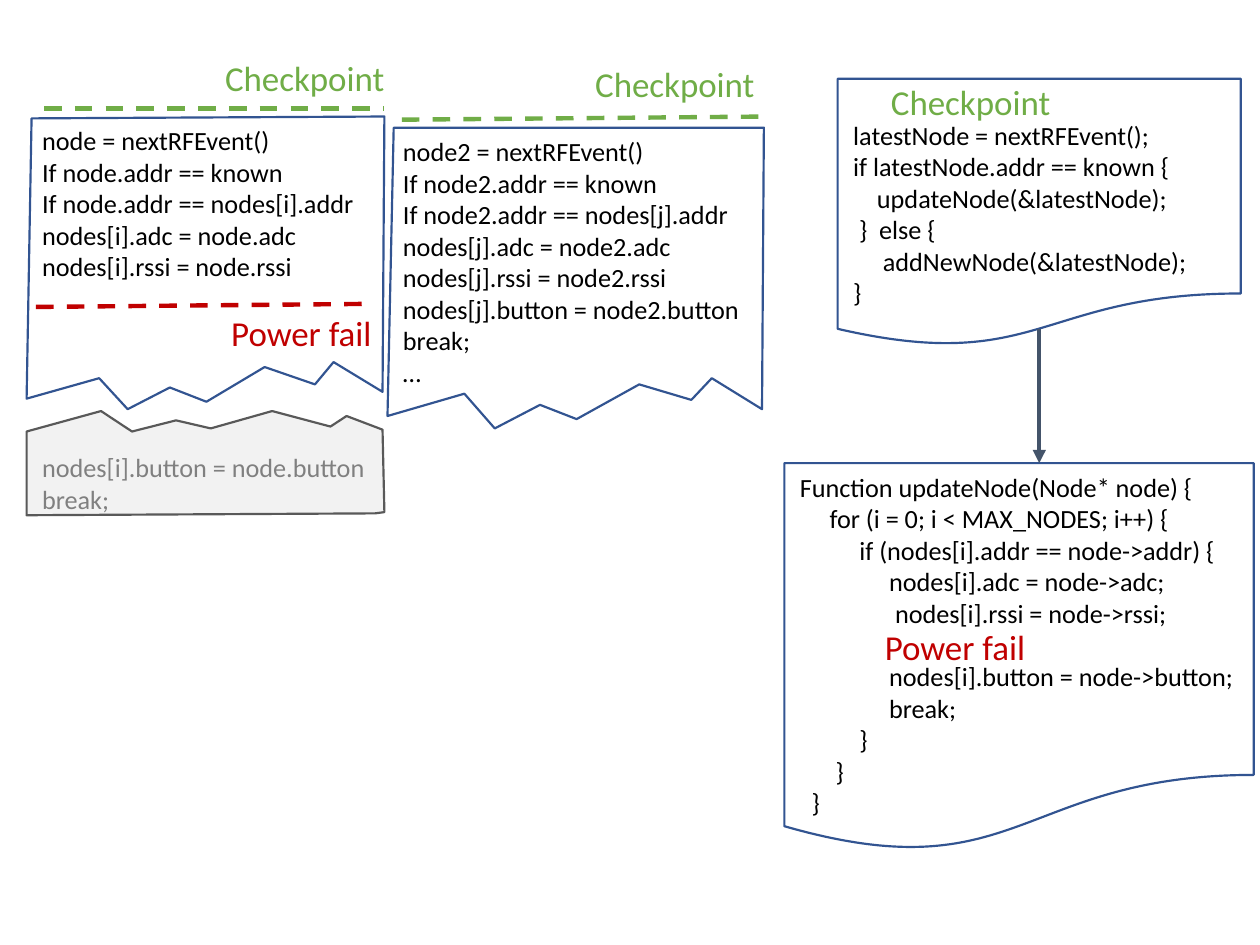
"""Draw checkpointed code fragments with their power failures on one slide."""
from dataclasses import dataclass

import pptx
import pptx.dml.color
import pptx.enum.dml
import pptx.enum.shapes
import pptx.enum.text
import pptx.oxml
import pptx.oxml.ns
import pptx.util
from pptx.util import Cm

COLORS = {
    "white": "FFFFFF", "black": "000000", "blue": "325491", "pale": "F2F2F2",
    "edge": "595959", "gray": "808080", "red": "C00000", "green": "70AD47",
    "slate": "44546A",
}
FONT = "Calibri"
CODE_PT = 12
LABEL_PT = 16
LINE_PT = 14.65
LINE_CM = 0.52
SPACE_CM = 0.096
INSET_CM = 0.13
LABEL_SIZE = (3.3, 0.94)


@dataclass
class Code:
    """One line of code, its indent in spaces and the empty lines above it."""
    text: str
    indent: int = 0
    gap: int = 0


@dataclass
class TornPage:
    """A torn sheet of code, outlined in centimetres."""
    outline: list[tuple[float, float]]
    code: list[Code]
    skipped: int = 0
    fill: str = "white"
    line: str = "blue"
    ink: str = "black"


@dataclass
class Document:
    """A document shape holding code."""
    box: tuple[float, float, float, float]
    code: list[Code]
    skipped: int = 0


@dataclass
class Rule:
    """A straight line, dashed or ending in an arrowhead."""
    start: tuple[float, float]
    end: tuple[float, float]
    color: str
    arrow: bool = False


@dataclass
class Label:
    """A coloured caption."""
    text: str
    at: tuple[float, float]
    color: str


PAGES = [
    TornPage(
        [(0.43, 6.43), (0.51, 1.91), (6.2, 1.88), (6.17, 6.32), (5.38, 5.84), (5.08, 6.2),
         (4.27, 5.92), (3.33, 6.48), (2.74, 6.25), (2.06, 6.6), (1.6, 6.1)],
        [Code("node = nextRFEvent()"), Code("If node.addr == known"),
         Code("If node.addr == nodes[i].addr"), Code("nodes[i].adc = node.adc"),
         Code("nodes[i].rssi = node.rssi")]),
    TornPage(
        [(0.43, 6.96), (0.43, 8.31), (6.05, 8.28), (6.2, 8.26), (6.17, 6.93), (5.59, 6.71),
         (5.33, 6.88), (4.39, 6.63), (3.4, 6.91), (2.84, 6.78), (2.13, 6.96), (1.63, 6.63)],
        [Code("nodes[i].button = node.button"), Code("break;")],
        skipped=1, fill="pale", line="edge", ink="gray"),
    TornPage(
        [(6.25, 6.71), (6.35, 2.06), (12.32, 2.06), (12.29, 6.6), (11.48, 6.1), (11.15, 6.45),
         (10.31, 6.2), (9.3, 6.76), (8.71, 6.53), (7.98, 6.91), (7.49, 6.35)],
        [Code("node2 = nextRFEvent()"), Code("If node2.addr == known"),
         Code("If node2.addr == nodes[j].addr"), Code("nodes[j].adc = node2.adc"),
         Code("nodes[j].rssi = node2.rssi"), Code("nodes[j].button = node2.button"),
         Code("break;"), Code("…")]),
]
DOCUMENTS = [
    Document(
        (12.65, 7.47, 7.57, 6.27),
        [Code("Function updateNode(Node* node) {"),
         Code("for (i = 0; i < MAX_NODES; i++) {", 5),
         Code("if (nodes[i].addr == node->addr) {", 10),
         Code("nodes[i].adc = node->adc;", 15), Code("nodes[i].rssi = node->rssi;", 16),
         Code("nodes[i].button = node->button;", 15, gap=1), Code("break;", 15),
         Code("}", 10), Code("}", 6), Code("}", 2)]),
    Document(
        (13.51, 1.27, 6.5, 4.32),
        [Code("latestNode = nextRFEvent();"), Code("if latestNode.addr == known {"),
         Code("updateNode(&latestNode);", 4), Code("}  else {", 1),
         Code("addNewNode(&latestNode);", 5), Code("}")],
        skipped=1),
]
RULES = [
    Rule((0.58, 4.95), (5.97, 4.9), "red"),
    Rule((0.71, 1.75), (6.2, 1.75), "green"),
    Rule((6.48, 1.93), (12.32, 1.88), "green"),
    Rule((16.76, 5.31), (16.76, 7.47), "slate", arrow=True),
]
LABELS = [
    Label("Power fail", (3.48, 4.9), "red"),
    Label("Checkpoint", (3.38, 0.79), "green"),
    Label("Checkpoint", (9.35, 0.89), "green"),
    Label("Checkpoint", (14.12, 1.17), "green"),
    Label("Power fail", (14.02, 9.96), "red"),
]


def rgb(name: str) -> pptx.dml.color.RGBColor:
    """Look up a colour by name."""
    return pptx.dml.color.RGBColor.from_string(COLORS[name])


def set_font(p, size: int, color: str) -> None:
    """Format a whole paragraph."""
    p.font.name = FONT
    p.font.size = pptx.util.Pt(size)
    p.font.color.rgb = rgb(color)


def style_sheet(sp, code: list[Code], skipped: int, fill: str, line: str, ink: str) -> None:
    """Colour a sheet and write its code from the top left."""
    sp.shadow.inherit = False
    sp.fill.solid()
    sp.fill.fore_color.rgb = rgb(fill)
    sp.line.color.rgb = rgb(line)
    sp.line.width = pptx.util.Pt(1)
    tf = sp.text_frame
    tf.word_wrap = True
    tf.vertical_anchor = pptx.enum.text.MSO_ANCHOR.TOP
    tf.margin_top = Cm(INSET_CM + skipped * LINE_CM)
    for i, item in enumerate(code):
        p = tf.paragraphs[0] if i == 0 else tf.add_paragraph()
        p.text = item.text
        p.alignment = pptx.enum.text.PP_ALIGN.LEFT
        set_font(p, CODE_PT, ink)
        if item.gap:
            p.space_before = pptx.util.Pt(item.gap * LINE_PT)
        if item.indent:
            p._p.get_or_add_pPr().set("marL", str(Cm(item.indent * SPACE_CM)))


def add_page(s, page: TornPage) -> None:
    """Draw a torn page."""
    points = [(Cm(x), Cm(y)) for x, y in page.outline]
    builder = s.shapes.build_freeform(*points[0])
    builder.add_line_segments(points[1:], close=True)
    style_sheet(builder.convert_to_shape(), page.code, page.skipped,
                page.fill, page.line, page.ink)


def add_document(s, doc: Document) -> None:
    """Draw a document shape."""
    kind = pptx.enum.shapes.MSO_SHAPE.FLOWCHART_DOCUMENT
    sp = s.shapes.add_shape(kind, *map(Cm, doc.box))
    style_sheet(sp, doc.code, doc.skipped, "white", "blue", "black")


def add_rule(s, rule: Rule) -> None:
    """Draw a dashed line or an arrow."""
    kind = pptx.enum.shapes.MSO_CONNECTOR.STRAIGHT
    sp = s.shapes.add_connector(kind, *map(Cm, rule.start + rule.end))
    sp.line.color.rgb = rgb(rule.color)
    sp.line.width = pptx.util.Pt(2)
    if rule.arrow:
        tail = pptx.oxml.parse_xml(f'<a:tailEnd {pptx.oxml.ns.nsdecls("a")} type="triangle"/>')
        sp.line._get_or_add_ln().append(tail)
    else:
        sp.line.dash_style = pptx.enum.dml.MSO_LINE.DASH
    effects = pptx.oxml.parse_xml(f'<a:effectLst {pptx.oxml.ns.nsdecls("a")}/>')
    sp._element.spPr.append(effects)


def add_label(s, label: Label) -> None:
    """Write a caption."""
    sp = s.shapes.add_textbox(*map(Cm, label.at + LABEL_SIZE))
    tf = sp.text_frame
    tf.word_wrap = True
    tf.text = label.text
    set_font(tf.paragraphs[0], LABEL_PT, label.color)


def main() -> None:
    """Build and save the slide."""
    prs = pptx.Presentation()
    prs.slide_width, prs.slide_height = Cm(20.32), Cm(15.24)
    s = prs.slides.add_slide(prs.slide_layouts[6])
    for add, items in ((add_page, PAGES), (add_document, DOCUMENTS),
                       (add_rule, RULES), (add_label, LABELS)):
        for item in items:
            add(s, item)
    prs.save("out.pptx")


if __name__ == "__main__":
    main()
